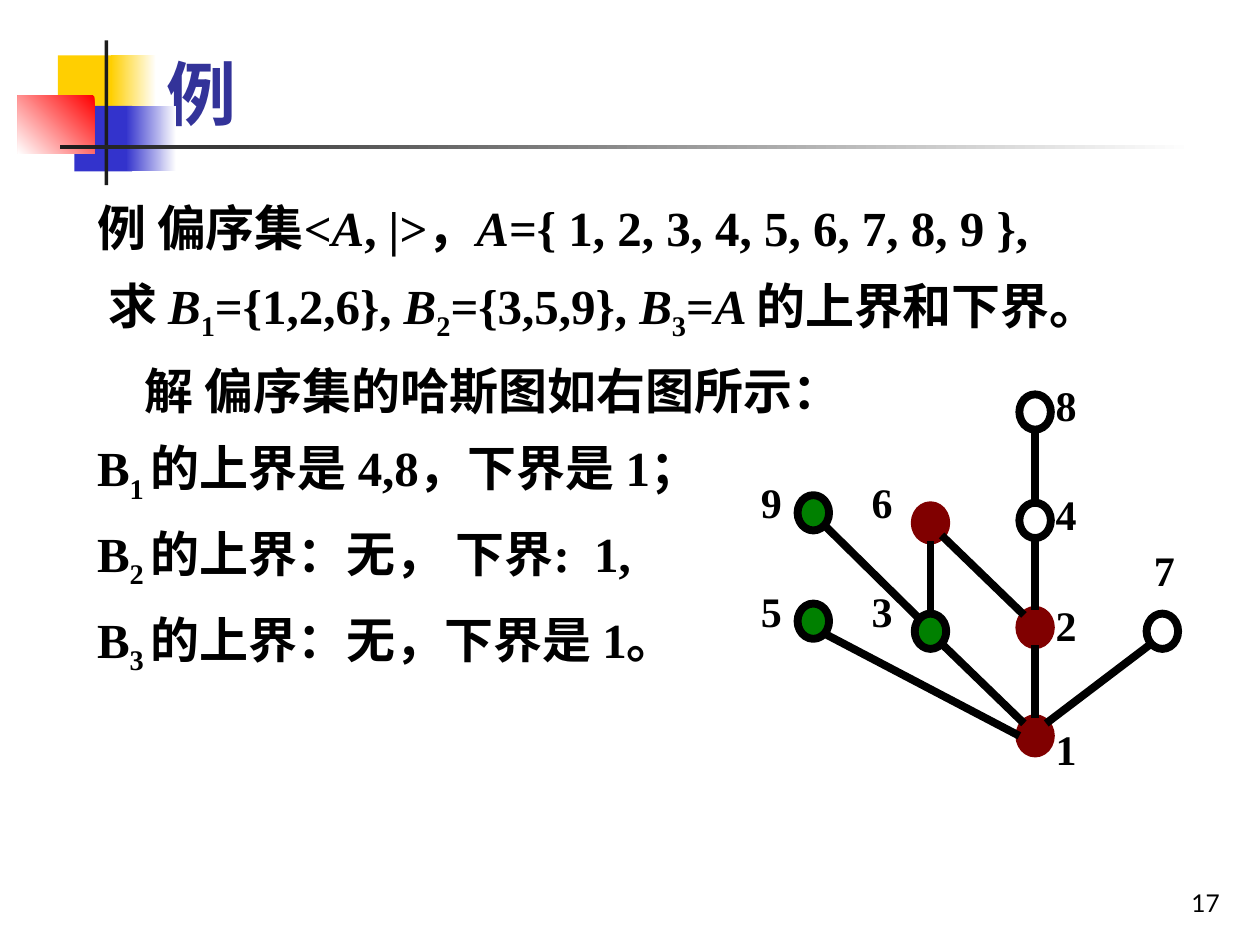
import math

import pptx
import pptx.dml.color
import pptx.enum.shapes
import pptx.enum.text
import pptx.oxml.ns
import pptx.util
from lxml import etree
from pptx.util import Inches

RGBColor = pptx.dml.color.RGBColor
SHAPE = pptx.enum.shapes.MSO_SHAPE
ALIGN = pptx.enum.text.PP_ALIGN
ANCHOR = pptx.enum.text.MSO_ANCHOR
AUTO_SIZE = pptx.enum.text.MSO_AUTO_SIZE
qn = pptx.oxml.ns.qn

BLACK = RGBColor(0x00, 0x00, 0x00)
WHITE = RGBColor(0xFF, 0xFF, 0xFF)
YELLOW = RGBColor(0xFF, 0xCF, 0x01)
BLUE = RGBColor(0x33, 0x33, 0xCC)
RED = RGBColor(0xFF, 0x00, 0x00)
DARK = RGBColor(0x1C, 0x1C, 0x1C)
TITLE_BLUE = RGBColor(0x33, 0x33, 0x99)
MAROON = RGBColor(0x80, 0x00, 0x00)
GREEN = RGBColor(0x00, 0x80, 0x00)

SERIF, SANS, CJK = "Times New Roman", "Lato", "Noto Sans CJK SC"
HANG = 0.38
NODE_W, NODE_H = 0.25, 0.28
LINE_WIDTH = pptx.util.Pt(4.5)

# Each run is (text, style): "" plain, "i" italic, "s" subscript, "c" CJK font
BODY = [
    [("例 偏序集<", ""), ("A", "i"), (", ", ""), ("|", "i"), (">，", ""),
     ("A", "i"), ("={ 1, 2, 3, 4, 5, 6, 7, 8, 9 },", "")],
    [(" 求 ", ""), ("B", "i"), ("1", "s"), ("={1,2,6}, ", ""),
     ("B", "i"), ("2", "s"), ("={3,5,9}, ", ""),
     ("B", "i"), ("3", "s"), ("=", ""), ("A ", "i"), ("的上界和下界。", "")],
    [("解 ", ""), ("偏序集的哈斯图如右图所示：", "c")],
    [("B", ""), ("1 ", "s"), ("的上界是 4,8，下界是 1；", "")],
    [("B", ""), ("2 ", "s"), ("的上界：无， 下界:  1,", "")],
    [("B", ""), ("3 ", "s"), ("的上界：无，下界是 1。", "")],
]
SOLUTION_LINE = 2

# Element: node left and top, label left and top, fill, outline
NODES = {
    "8": (2.15, 0.21, 2.34, 0.00, None, BLACK),
    "4": (2.15, 1.07, 2.34, 0.87, None, BLACK),
    "2": (2.15, 1.92, 2.34, 1.75, MAROON, MAROON),
    "1": (2.15, 2.78, 2.34, 2.73, MAROON, MAROON),
    "6": (1.32, 1.09, 0.88, 0.77, MAROON, MAROON),
    "3": (1.32, 1.95, 0.88, 1.64, GREEN, BLACK),
    "9": (0.39, 1.01, 0.00, 0.77, GREEN, BLACK),
    "5": (0.39, 1.87, 0.00, 1.64, GREEN, BLACK),
    "7": (3.16, 1.95, 3.12, 1.31, None, BLACK),
}

# Lower element, angle where its edge leaves, upper element, angle where it arrives
EDGES = [
    ("1", 45, "7", 225), ("1", 90, "2", 270), ("2", 90, "4", 270),
    ("4", 90, "8", 270), ("2", 135, "6", 315), ("1", 135, "3", 315),
    ("3", 90, "6", 270), ("3", 135, "9", 315), ("1", 180, "5", 315),
]


def style_run(r, size, color=BLACK, bold=True, name=SERIF):
    r.font.name = name
    r.font.size = pptx.util.Pt(size)
    r.font.bold = bold
    r.font.color.rgb = color


def place(s, left, top, width, height):
    s.left, s.top = Inches(left), Inches(top)
    s.width, s.height = Inches(width), Inches(height)


def set_indent(p, margin, first):
    pPr = p._p.get_or_add_pPr()
    pPr.set("marL", str(Inches(margin)))
    pPr.set("indent", str(Inches(first)))
    etree.SubElement(pPr, qn("a:buNone"))
    p.line_spacing = 1.1


def add_block(shapes, box, start, end=None, angle=0):
    s = shapes.add_shape(SHAPE.RECTANGLE, *map(Inches, box))
    s.shadow.inherit = False
    s.line.fill.background()
    if end is None:
        s.fill.solid()
        s.fill.fore_color.rgb = start
    else:
        s.fill.gradient()
        s.fill.gradient_angle = angle
        for stop, color in zip(s.fill.gradient_stops, (start, end)):
            stop.color.rgb = color


def add_decoration(shapes, x, y):
    """Coloured squares with crossing rules."""
    add_block(shapes, (x + 0.32, y + 0.12, 0.48, 0.52), YELLOW)
    add_block(shapes, (x + 0.74, y + 0.12, 0.36, 0.52), WHITE, YELLOW, 180)
    add_block(shapes, (x + 0.45, y + 0.52, 0.46, 0.52), BLUE)
    add_block(shapes, (x + 0.86, y + 0.52, 0.40, 0.52), WHITE, BLUE, 180)
    add_block(shapes, (x, y + 0.44, 0.61, 0.46), RED, WHITE, 225)
    add_block(shapes, (x + 0.69, y, 0.03, 1.15), DARK)
    add_block(shapes, (x + 0.34, y + 0.83, 9, 0.03), WHITE, DARK, 180)


def fill_title(s, box):
    place(s, *box)
    tf = s.text_frame
    tf.text = "例"
    tf.vertical_anchor = ANCHOR.BOTTOM
    p = tf.paragraphs[0]
    p.alignment = ALIGN.LEFT
    style_run(p.runs[0], 40, TITLE_BLUE)


def fill_body(s, box):
    place(s, *box)
    tf = s.text_frame
    tf.word_wrap = True
    tf.auto_size = AUTO_SIZE.SHAPE_TO_FIT_TEXT
    for i, runs in enumerate(BODY):
        p = tf.add_paragraph() if i else tf.paragraphs[0]
        set_indent(p, HANG, 0 if i == SOLUTION_LINE else -HANG)
        p.space_before = pptx.util.Pt(7 if i else 0)
        for text, style in runs:
            r = p.add_run()
            r.text = text
            style_run(r, 28, name=CJK if style == "c" else SERIF)
            if style == "i":
                r.font.italic = True
            elif style == "s":
                r._r.get_or_add_rPr().set("baseline", "-25000")


def add_label(shapes, x, y, text):
    s = shapes.add_textbox(Inches(x), Inches(y), Inches(0.58), Inches(0.54))
    tf = s.text_frame
    tf.word_wrap = True
    tf.auto_size = AUTO_SIZE.SHAPE_TO_FIT_TEXT
    tf.text = text
    set_indent(tf.paragraphs[0], HANG, -HANG)
    style_run(tf.paragraphs[0].runs[0], 24)


def add_hasse_diagram(shapes, x, y):
    def rim(name, angle):
        left, top = NODES[name][:2]
        a = math.radians(angle)
        return (Inches(x + left + NODE_W / 2 * (1 + math.cos(a))),
                Inches(y + top + NODE_H / 2 * (1 - math.sin(a))))

    # Nodes
    for left, top, _, _, fill, outline in NODES.values():
        s = shapes.add_shape(SHAPE.OVAL, Inches(x + left), Inches(y + top),
                             Inches(NODE_W), Inches(NODE_H))
        s.shadow.inherit = False
        if fill is None:
            s.fill.background()
        else:
            s.fill.solid()
            s.fill.fore_color.rgb = fill
        s.line.color.rgb = outline
        s.line.width = LINE_WIDTH

    # Edges
    for low, low_angle, high, high_angle in EDGES:
        s = shapes.add_connector(pptx.enum.shapes.MSO_CONNECTOR.STRAIGHT,
                                 *rim(low, low_angle), *rim(high, high_angle))
        s.line.color.rgb = BLACK
        s.line.width = LINE_WIDTH
        etree.SubElement(s._element.spPr, qn("a:effectLst"))

    # Labels
    for name, (_, _, left, top, _, _) in NODES.items():
        add_label(shapes, x + left, y + top, name)


def add_page_number(shapes, box):
    tf = shapes.add_textbox(*map(Inches, box)).text_frame
    tf.word_wrap = True
    tf.vertical_anchor = ANCHOR.BOTTOM
    tf.text = "17"
    tf.paragraphs[0].alignment = ALIGN.RIGHT
    style_run(tf.paragraphs[0].runs[0], 14, bold=False, name=SANS)


def main():
    prs = pptx.Presentation()
    prs.slide_width, prs.slide_height = Inches(10), Inches(7.5)
    slide = prs.slides.add_slide(prs.slide_layouts[1])
    shapes = slide.shapes
    add_decoration(shapes, 0.14, 0.32)
    fill_title(shapes.title, (1.22, 0.28, 8.52, 0.84))
    fill_body(slide.placeholders[1], (0.67, 1.47, 8.98, 3.95))
    add_hasse_diagram(shapes, 5.94, 2.92)
    add_page_number(shapes, (7.7, 6.83, 2.08, 0.5))
    prs.save("out.pptx")


if __name__ == "__main__":
    main()
